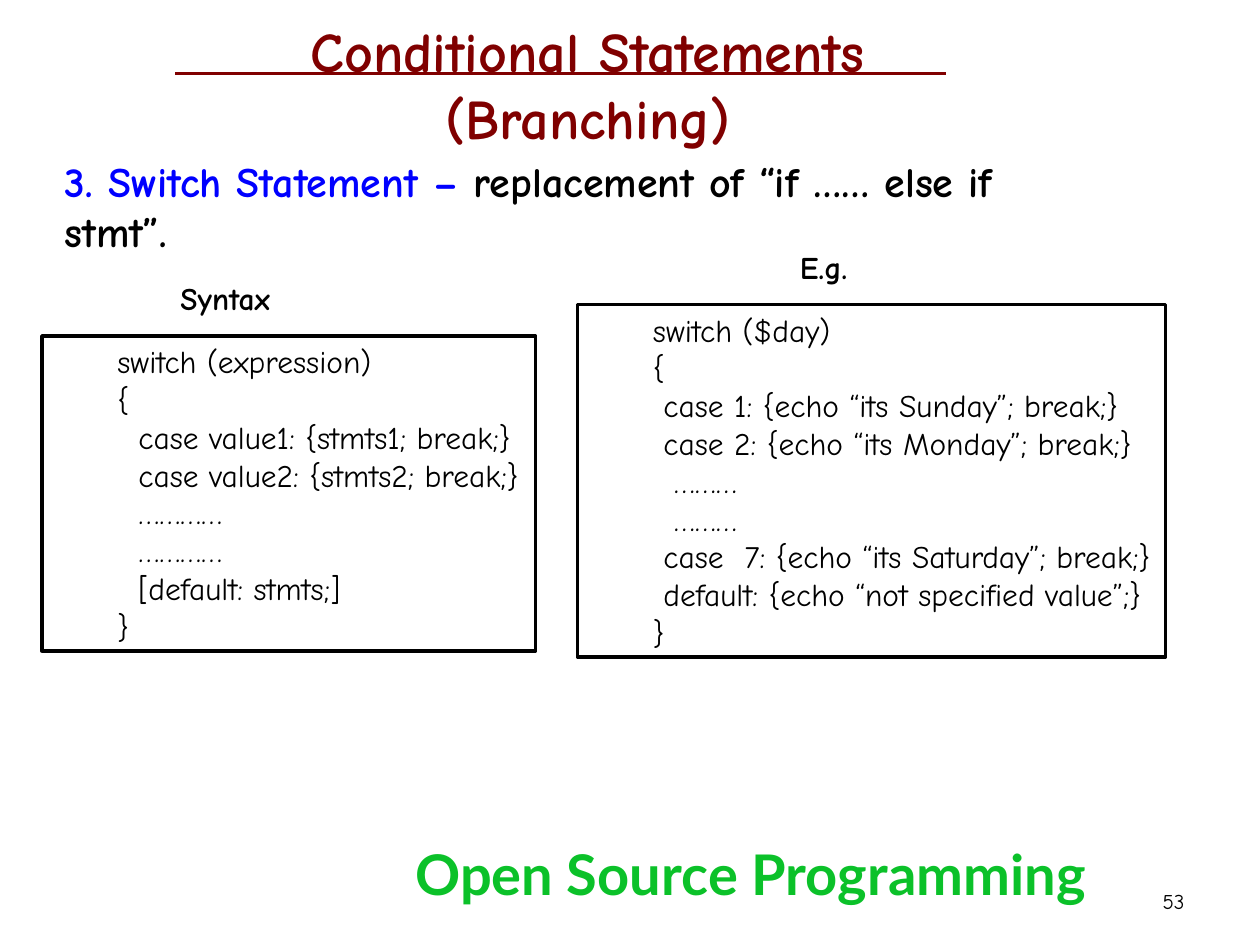
from lxml.etree import SubElement
from pptx import Presentation
from pptx.dml.color import RGBColor
from pptx.enum.shapes import MSO_CONNECTOR, MSO_SHAPE
from pptx.enum.text import MSO_ANCHOR, PP_ALIGN
from pptx.oxml.ns import qn
from pptx.util import Pt

PX = 914400 // 120
BODY_FONT = "Comic Neue"
BLACK, BLUE, MAROON, GREEN = "000000", "0000FF", "800000", "0BC129"

SYNTAX = """switch (expression)
{
  case value1: {stmts1; break;}
  case value2: {stmts2; break;}
  …………
  …………
  [default: stmts;]
}"""

EXAMPLE = """switch ($day)
{
 case 1: {echo “its Sunday”; break;}
 case 2: {echo “its Monday”; break;}
  ………
  ………
 case  7: {echo “its Saturday”; break;}
 default: {echo “not specified value”;}
}"""


def px(*lengths):
    return [length * PX for length in lengths]


def paint(color_format, color):
    color_format.rgb = RGBColor.from_string(color)


def style(paragraph, size, color=None, bold=False, font=BODY_FONT):
    paragraph.font.name = font
    paragraph.font.size = Pt(size)
    paragraph.font.bold = bold
    if color:
        paint(paragraph.font.color, color)


def add_text(slide, box, parts, size, bold=True, align=PP_ALIGN.LEFT,
             anchor=MSO_ANCHOR.TOP, font=BODY_FONT):
    """Write one paragraph made of (text, color) parts."""
    frame = slide.shapes.add_textbox(*px(*box)).text_frame
    frame.word_wrap = True
    frame.vertical_anchor = anchor
    paragraph = frame.paragraphs[0]
    paragraph.alignment = align
    shared_color = parts[0][1] if len(parts) == 1 else None
    style(paragraph, size, shared_color, bold, font)
    for text, color in parts:
        run = paragraph.add_run()
        run.text = text
        if not shared_color:
            paint(run.font.color, color)


def add_title(slide, box):
    left, top, _, _ = box
    add_text(slide, box, [("Conditional Statements (Branching)", MAROON)], 32,
             align=PP_ALIGN.CENTER)
    start, end, y = left + 17, left + 751, top + 60
    underline = slide.shapes.add_connector(MSO_CONNECTOR.STRAIGHT,
                                           *px(start, y, end, y))
    paint(underline.line.color, MAROON)
    underline.line.width = Pt(2)
    SubElement(underline._element.spPr, qn("a:effectLst"))


def add_code_panel(slide, box, heading, heading_offset, code):
    """Draw a framed listing with its heading 60 px above the frame."""
    left, top, _, _ = box
    panel = slide.shapes.add_shape(MSO_SHAPE.RECTANGLE, *px(*box))
    panel.shadow.inherit = False
    panel.fill.background()
    paint(panel.line.color, BLACK)
    panel.line.width = Pt(2)

    frame = panel.text_frame
    frame.word_wrap = True
    frame.vertical_anchor = MSO_ANCHOR.TOP
    frame.text = code
    for paragraph in frame.paragraphs:
        paragraph.level = 1
        paragraph.alignment = PP_ALIGN.LEFT
        properties = paragraph._p.get_or_add_pPr()
        properties.set("marL", str(60 * PX))
        properties.set("indent", "0")
        style(paragraph, 18, BLACK)

    add_text(slide, (left + heading_offset, top - 60, 220, 48),
             [(heading, BLACK)], 18)


def main():
    presentation = Presentation()
    presentation.slide_width, presentation.slide_height = px(1200, 900)
    slide = presentation.slides.add_slide(presentation.slide_layouts[6])

    add_text(slide, (860, 834, 280, 48), [("53", BLACK)], 12, bold=False,
             align=PP_ALIGN.RIGHT, anchor=MSO_ANCHOR.MIDDLE)
    add_text(slide, (50, 142, 950, 108),
             [("3. Switch Statement – ", BLUE),
              ("replacement of “if …… else if stmt”.", BLACK)], 24)
    add_code_panel(slide, (40, 320, 470, 300), "Syntax", 120, SYNTAX)
    add_code_panel(slide, (550, 290, 560, 336), "E.g.", 200, EXAMPLE)
    add_title(slide, (150, 10, 820, 140))
    add_text(slide, (360, 794, 710, 140), [("Open Source Programming", GREEN)],
             32, align=PP_ALIGN.CENTER, font="Lato")

    presentation.save("out.pptx")


if __name__ == "__main__":
    main()
